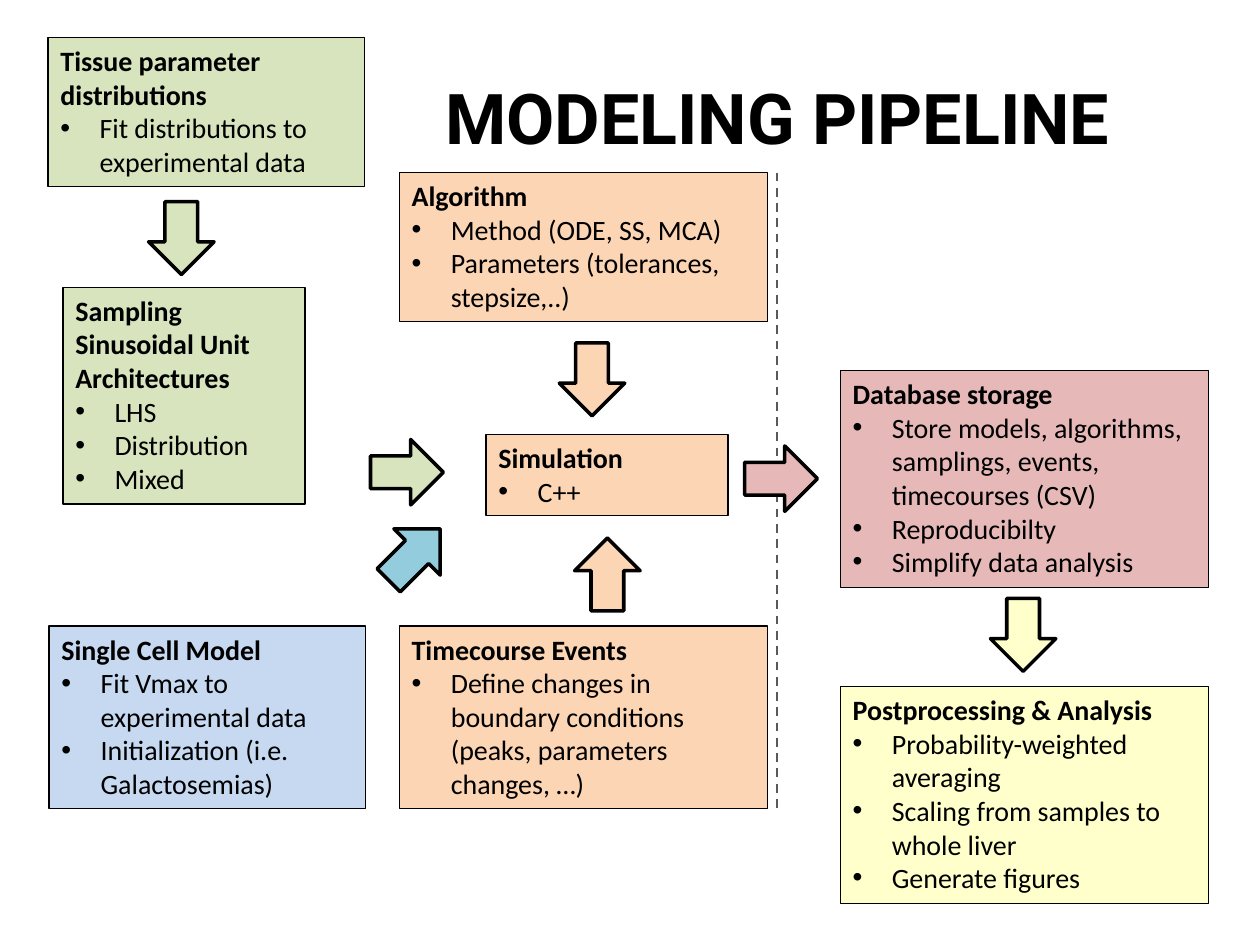
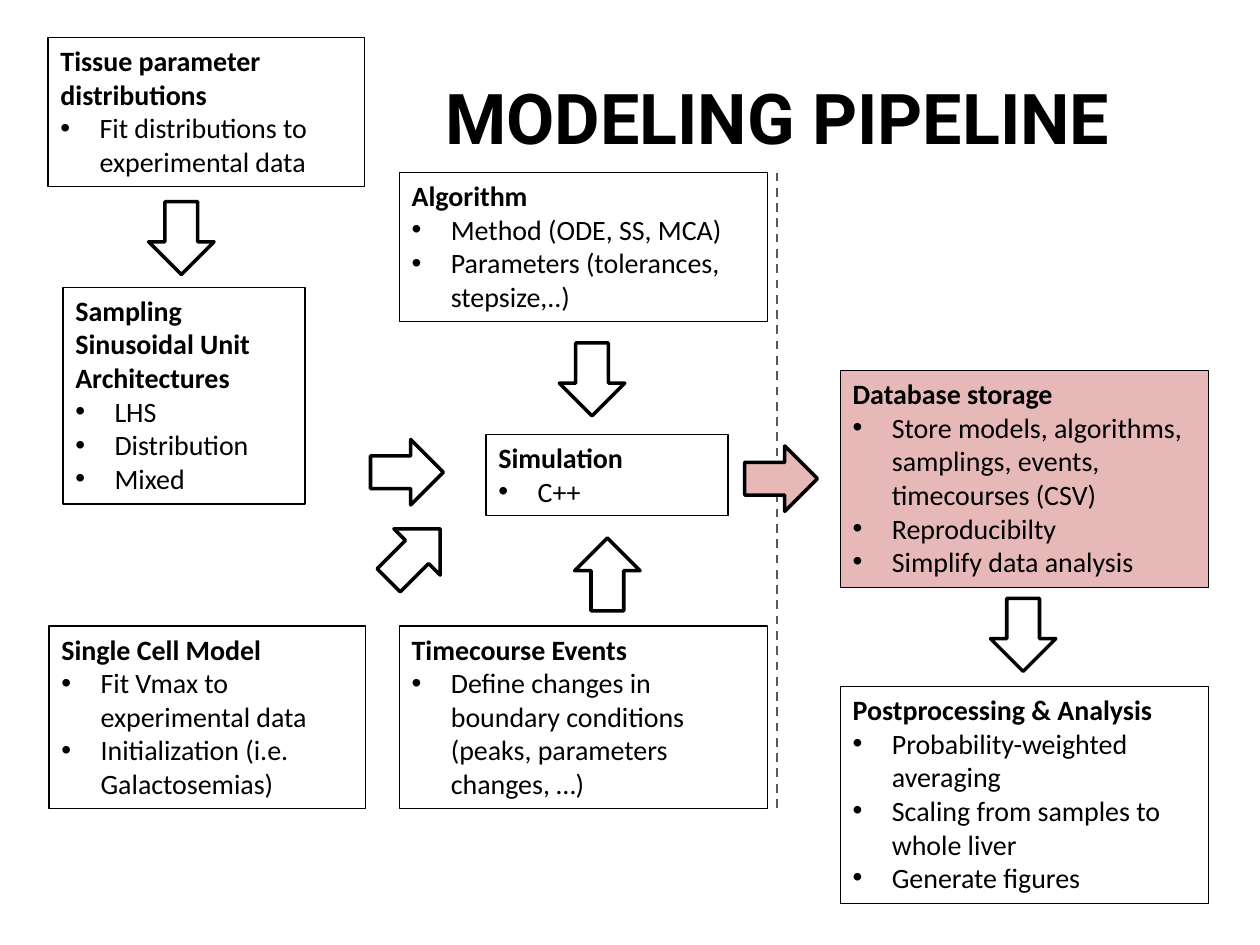
from dataclasses import dataclass, field

from lxml.etree import SubElement
from pptx import Presentation
from pptx.dml.color import RGBColor
from pptx.enum.dml import MSO_LINE
from pptx.enum.shapes import MSO_CONNECTOR, MSO_SHAPE
from pptx.enum.text import MSO_ANCHOR, MSO_AUTO_SIZE, PP_ALIGN
from pptx.oxml.ns import qn
from pptx.util import Cm, Pt


@dataclass
class Theme:
    ink: RGBColor = RGBColor.from_string("000000")
    divider: RGBColor = RGBColor.from_string("595959")
    # Fill of each part of the pipeline
    fills: dict = field(default_factory=lambda: {
        "sampling": "D7E4BD",
        "cell": "C6D9F1",
        "cell arrow": "93CDDD",
        "simulation": "FCD5B5",
        "storage": "E6B9B8",
        "analysis": "FFFFCC",
    })
    muted: str = "FFFFFF"
    muted_alpha: int = 50
    title_font: dict = field(default_factory=lambda: {
        "name": "Roboto", "size": Pt(40), "bold": True})
    body_font: dict = field(default_factory=lambda: {
        "name": "Calibri", "size": Pt(16)})
    box_line: float = 0.75
    arrow_line: float = 2
    divider_line: float = 1.25


THEME = Theme()

# Sizes in cm
SLIDE_W, SLIDE_H = 25.4, 19.05
TITLE_BOX = (4.24, 0.76, 22.86, 3.18)
WIDE, MEDIUM, NARROW = 7.42, 6.38, 4.88
LINE_H, BOX_PADDING = 0.685, 0.26
ARROW_W, ARROW_H = 1.47, 1.32
BULLET_INDENT = 0.79
RIGHT, DOWN, UP, UP_RIGHT = 0, 90, 270, 315


def box_height(lines):
    return BOX_PADDING + lines * LINE_H


def add_run(p, text, **formats):
    r = p.add_run()
    r.text = text
    for name, value in formats.items():
        setattr(r.font, name, value)
    r.font.color.rgb = THEME.ink


def add_bullet(p):
    pPr = p._p.get_or_add_pPr()
    indent = int(Cm(BULLET_INDENT))
    pPr.set("marL", str(indent))
    pPr.set("indent", str(-indent))
    SubElement(pPr, qn("a:buFont"), typeface="Arial")
    SubElement(pPr, qn("a:buChar"), char="•")


class Pipeline:
    """One slide of the pipeline; lit names the parts that keep their colour."""

    def __init__(self, prs, lit):
        self.shapes = prs.slides.add_slide(prs.slide_layouts[6]).shapes
        self.lit = lit

    def add_part(self, preset, part, box, line_width):
        sp = self.shapes.add_shape(preset, *map(Cm, box))
        sp.shadow.inherit = False
        sp.fill.solid()
        is_lit = part in self.lit
        color = THEME.fills[part] if is_lit else THEME.muted
        sp.fill.fore_color.rgb = RGBColor.from_string(color)
        if not is_lit:
            clr = sp._element.spPr.find(qn("a:solidFill"))[0]
            SubElement(clr, qn("a:alpha"), val=str(THEME.muted_alpha * 1000))
        sp.line.color.rgb = THEME.ink
        sp.line.width = Pt(line_width)
        return sp

    def add_stage(self, part, left, top, width, lines, heading, *bullets):
        """Box with a bold heading and bullets, as tall as its lines of text."""
        box = (left, top, width, box_height(lines))
        sp = self.add_part(MSO_SHAPE.RECTANGLE, part, box, THEME.box_line)
        tf = sp.text_frame
        for name, value in {"word_wrap": True,
                            "auto_size": MSO_AUTO_SIZE.SHAPE_TO_FIT_TEXT,
                            "vertical_anchor": MSO_ANCHOR.TOP}.items():
            setattr(tf, name, value)
        p = tf.paragraphs[0]
        p.alignment = PP_ALIGN.LEFT
        add_run(p, heading, bold=True, **THEME.body_font)
        for text in bullets:
            p = tf.add_paragraph()
            p.alignment = PP_ALIGN.LEFT
            add_bullet(p)
            add_run(p, text, bold=False, **THEME.body_font)

    def add_arrow(self, part, left, top, rotation):
        box = (left, top, ARROW_W, ARROW_H)
        sp = self.add_part(MSO_SHAPE.RIGHT_ARROW, part, box, THEME.arrow_line)
        sp.rotation = rotation
        SubElement(sp.line._get_or_add_ln(), qn("a:round"))

    def add_divider(self, x, top, bottom):
        c = self.shapes.add_connector(
            MSO_CONNECTOR.STRAIGHT, Cm(x), Cm(top), Cm(x), Cm(bottom))
        c.line.color.rgb = THEME.divider
        c.line.width = Pt(THEME.divider_line)
        c.line.dash_style = MSO_LINE.DASH
        SubElement(c._element.spPr, qn("a:effectLst"))

    def title(self, box):
        tf = self.shapes.add_textbox(*map(Cm, box)).text_frame
        tf.word_wrap = True
        tf.vertical_anchor = MSO_ANCHOR.MIDDLE
        p = tf.paragraphs[0]
        p.alignment = PP_ALIGN.CENTER
        add_run(p, "MODELING PIPELINE", **THEME.title_font)

    def inputs(self, x, y):
        # Tissue parameters and the samples drawn from them
        self.add_stage("sampling", x, y, MEDIUM, 4,
                       "Tissue parameter distributions",
                       "Fit distributions to experimental data")
        self.add_arrow("sampling", x + 1.95, y + 3.38, DOWN)
        self.add_stage("sampling", x + 0.3, y + 5.03, NARROW, 6,
                       "Sampling Sinusoidal Unit Architectures",
                       "LHS", "Distribution", "Mixed")
        self.add_arrow("sampling", x + 6.5, y + 8.1, RIGHT)
        # Cell model
        self.add_arrow("cell arrow", x + 6.65, y + 9.76, UP_RIGHT)
        self.add_stage("cell", x + 0.02, y + 11.86, MEDIUM, 5,
                       "Single Cell Model",
                       "Fit Vmax to experimental data",
                       "Initialization (i.e. Galactosemias)")

    def simulation(self, x, y):
        # Algorithm and events both feed the simulation
        events_top = y + 9.14
        self.add_stage("simulation", x, y, WIDE, 4, "Algorithm",
                       "Method (ODE, SS, MCA)",
                       "Parameters (tolerances, stepsize,..)")
        self.add_arrow("simulation", x + 3.15, y + 3.51, DOWN)
        self.add_stage("simulation", x + 1.75, y + 5.28, NARROW, 2,
                       "Simulation", "C++")
        self.add_arrow("simulation", x + 3.46, y + 7.44, UP)
        self.add_stage("simulation", x, events_top, WIDE, 5,
                       "Timecourse Events",
                       "Define changes in boundary conditions "
                       "(peaks, parameters changes, …)")
        # Border between computing and results
        self.add_divider(x + WIDE + 0.2, y, events_top + box_height(5))

    def results(self, x, y):
        # Storage, then analysis below it
        stage_left = x + 1.93
        self.add_arrow("storage", x, y + 1.52, RIGHT)
        self.add_stage("storage", stage_left, y, WIDE, 6, "Database storage",
                       "Store models, algorithms, samplings, events, "
                       "timecourses (CSV)",
                       "Reproducibilty", "Simplify data analysis")
        self.add_arrow("analysis", x + 4.88, y + 4.67, DOWN)
        self.add_stage("analysis", stage_left, y + 6.37, WIDE, 6,
                       "Postprocessing & Analysis",
                       "Probability-weighted averaging",
                       "Scaling from samples to whole liver",
                       "Generate figures")

    def draw(self):
        self.title(TITLE_BOX)
        self.inputs(0.97, 0.76)
        self.simulation(8.05, 3.48)
        self.results(15.01, 7.47)


def main():
    prs = Presentation()
    prs.slide_width, prs.slide_height = Cm(SLIDE_W), Cm(SLIDE_H)
    # Whole pipeline, then the storage step alone
    for lit in (set(THEME.fills), {"storage"}):
        Pipeline(prs, lit).draw()
    prs.save("out.pptx")


if __name__ == "__main__":
    main()
